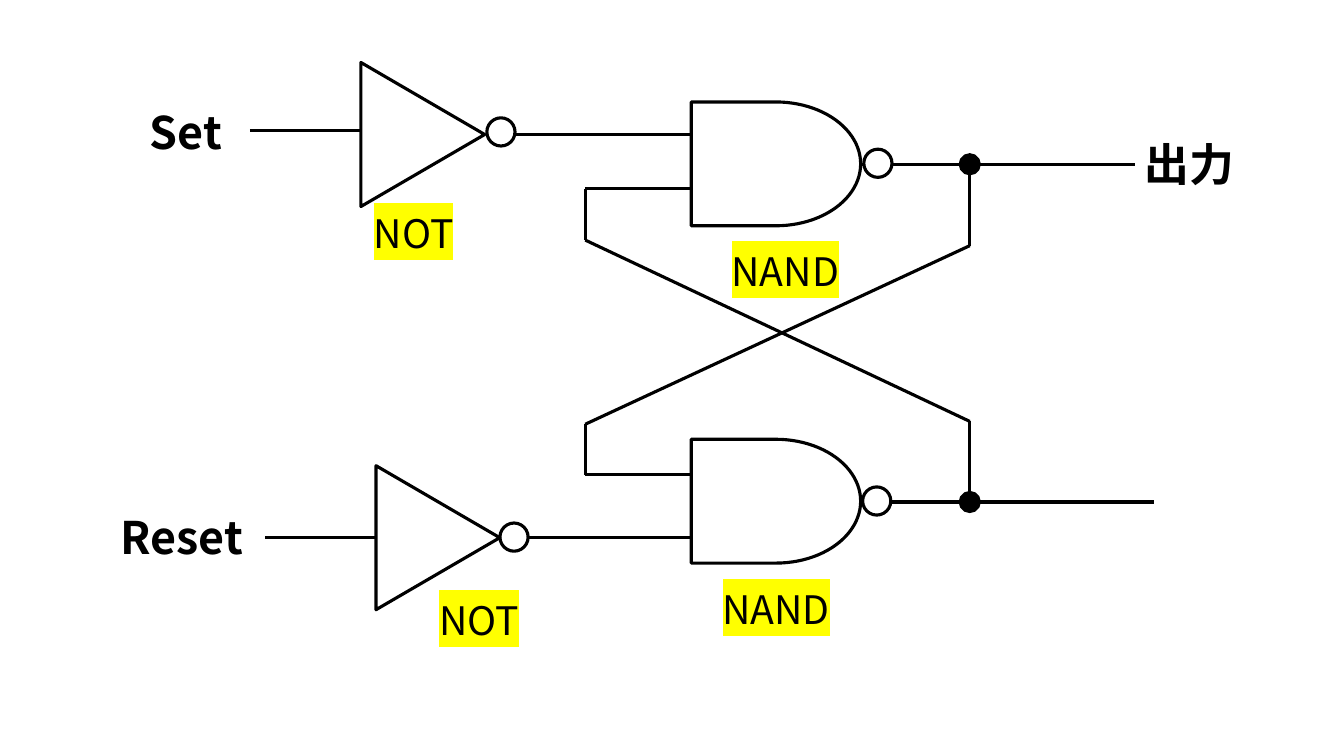
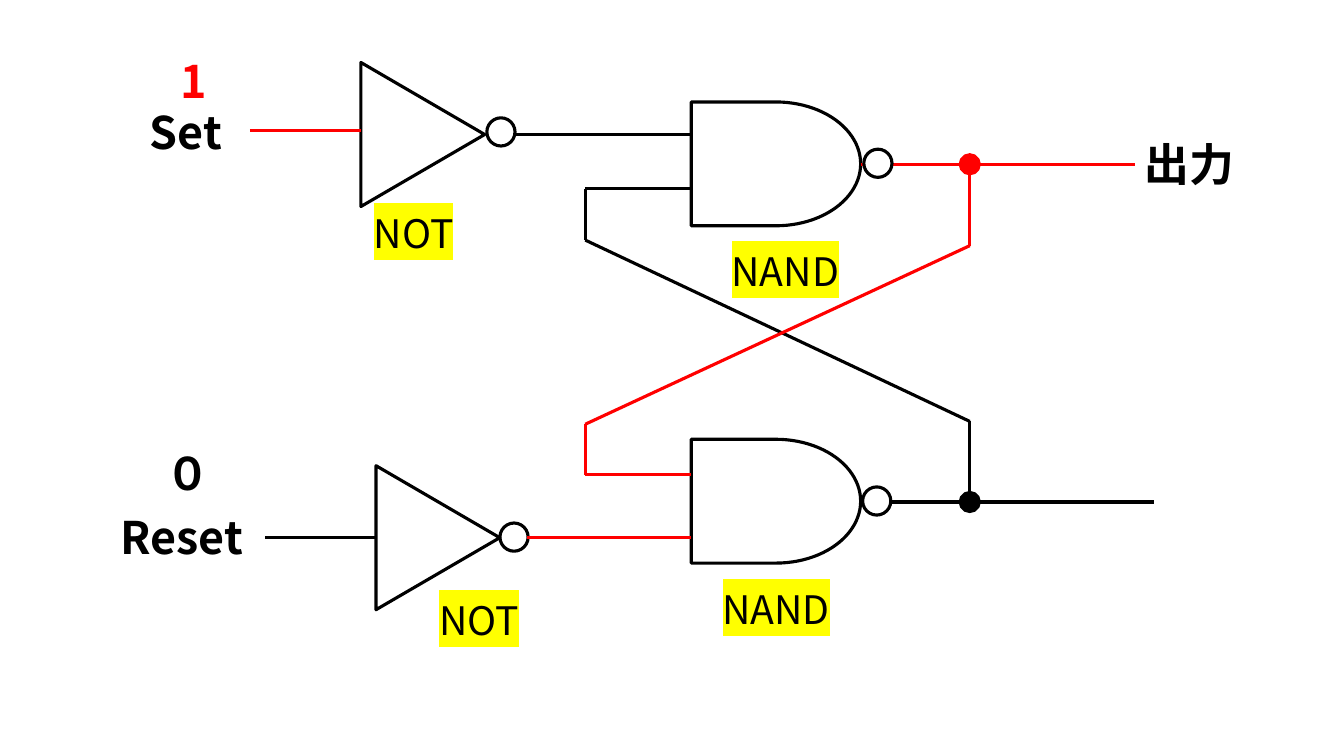
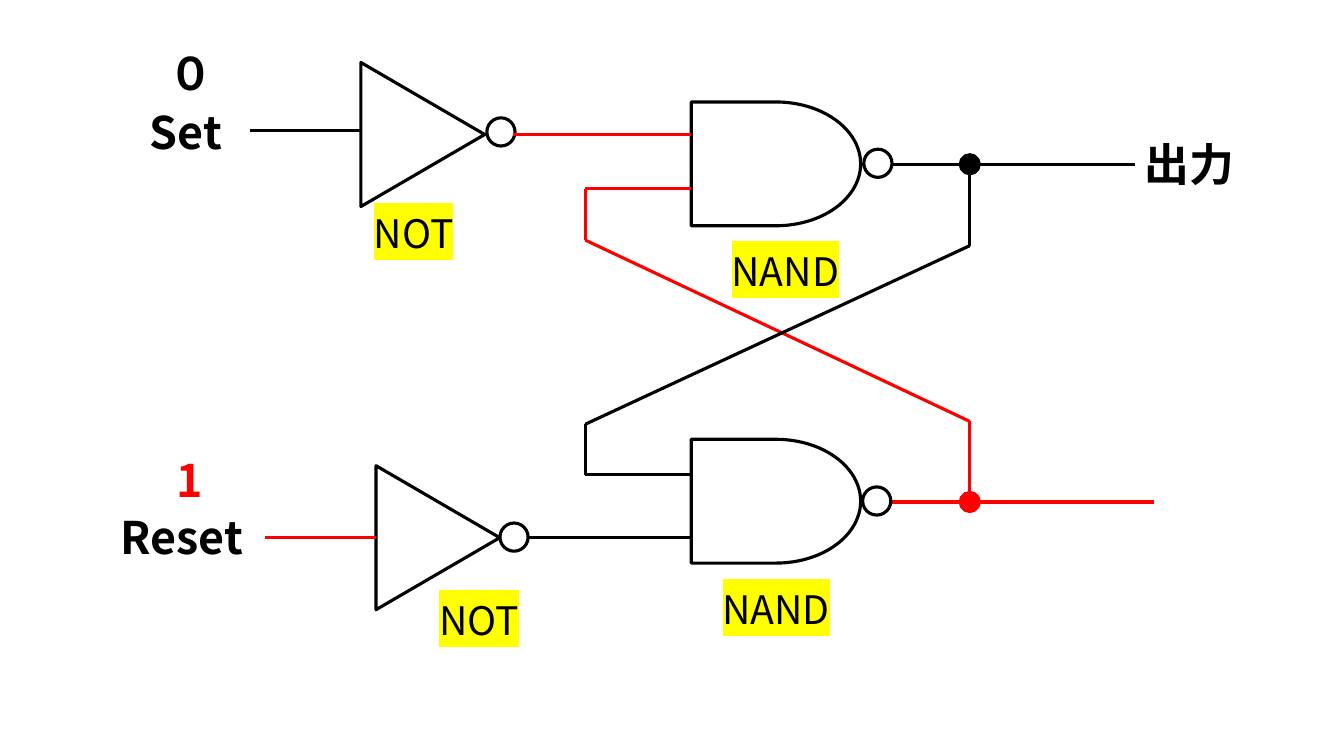
"""Build three slides of a set/reset latch: at rest, set and reset."""
from itertools import pairwise

from lxml import etree
from pptx import Presentation
from pptx.dml.color import RGBColor
from pptx.enum.shapes import MSO_CONNECTOR, MSO_SHAPE
from pptx.enum.text import MSO_AUTO_SIZE
from pptx.oxml.ns import qn
from pptx.util import Cm, Pt

STRAIGHT = MSO_CONNECTOR.STRAIGHT
DELAY = MSO_SHAPE.FLOWCHART_DELAY
TRIANGLE = MSO_SHAPE.ISOSCELES_TRIANGLE
OVAL = MSO_SHAPE.OVAL
GROW = MSO_AUTO_SIZE.SHAPE_TO_FIT_TEXT

BLACK = RGBColor(0x00, 0x00, 0x00)
RED = RGBColor(0xFF, 0x00, 0x00)
WHITE = RGBColor(0xFF, 0xFF, 0xFF)
YELLOW = RGBColor(0xFF, 0xFF, 0x00)
FONT = "Noto Sans CJK JP"
LINE_WIDTH = Pt(2.25)

GATE_LEFT = 17.42
FEEDBACK_X = 14.75
JUNCTION_X = 24.44
Q_Y, Q_BAR_Y = 4.14, 12.65
BUBBLE, DOT = 0.71, 0.48

NOT_GATES = [(8.84, 1.83), (9.22, 11.99)]
NOT_BUBBLES = [(12.27, 2.97), (12.6, 13.18)]
NAND_TOPS = [2.57, 11.07]
NAND_BUBBLES = [(21.77, 3.76), (21.74, 12.27)]
JUNCTIONS = {"q": Q_Y, "q_bar": Q_BAR_Y}

WIRES = {
    "set": [[(6.3, 3.28), (9.09, 3.28)]],
    "reset": [[(6.68, 13.54), (9.47, 13.54)]],
    "not_set": [[(12.93, 3.38), (GATE_LEFT, 3.38)]],
    "not_reset": [[(13.28, 13.54), (GATE_LEFT, 13.54)]],
    "q_bar": [
        [(21.69, Q_BAR_Y), (29.08, Q_BAR_Y)],
        [(JUNCTION_X, Q_BAR_Y), (JUNCTION_X, 10.62), (FEEDBACK_X, 6.05),
         (FEEDBACK_X, 4.75), (GATE_LEFT, 4.75)],
    ],
    "q": [
        [(21.69, Q_Y), (28.6, Q_Y)],
        [(JUNCTION_X, Q_Y), (JUNCTION_X, 6.19), (FEEDBACK_X, 10.69),
         (FEEDBACK_X, 11.96), (GATE_LEFT, 11.96)],
    ],
}

TERMINALS = [("Set", 3.53, 2.51, 2.57), ("Reset", 2.79, 12.73, 4.45),
             ("出力", 28.6, 3.33, 3.2)]
GATE_NAMES = [("NOT", 9.17, 5.16, 2.79), ("NOT", 10.82, 14.91, 2.79),
              ("NAND", 17.96, 14.63, 4.27), ("NAND", 18.19, 6.1, 4.27)]

STATES = [
    (set(), []),
    ({"set", "not_reset", "q"},
     [("1", 4.29, 1.24, RED), ("０", 3.91, 11.1, BLACK)]),
    ({"reset", "not_set", "q_bar"},
     [("1", 4.19, 11.28, RED), ("０", 3.99, 1.02, BLACK)]),
]


def add_text(s, text, left, top, width, size=32, bold=True, color=BLACK, highlight=None):
    """Add a one-line text box that grows to fit its text."""
    tf = s.shapes.add_textbox(Cm(left), Cm(top), Cm(width), Cm(1.63)).text_frame
    tf.word_wrap = True
    tf.auto_size = GROW
    r = tf.paragraphs[0].add_run()
    r.text = text
    r.font.size = Pt(size)
    r.font.bold = bold
    r.font.color.rgb = color
    r.font.name = FONT
    latin = r.font._element.find(qn("a:latin"))
    latin.addnext(etree.Element(qn("a:ea"), typeface=FONT))
    if highlight is not None:
        mark = etree.Element(qn("a:highlight"))
        etree.SubElement(mark, qn("a:srgbClr"), val=str(highlight))
        latin.addprevious(mark)


def add_outline(s, kind, left, top, width, height, fill=None, line=BLACK):
    """Add an outlined preset shape, hollow unless a fill is given."""
    sp = s.shapes.add_shape(kind, Cm(left), Cm(top), Cm(width), Cm(height))
    sp.shadow.inherit = False
    if fill is None:
        sp.fill.background()
    else:
        sp.fill.solid()
        sp.fill.fore_color.rgb = fill
    sp.line.color.rgb = line
    sp.line.width = LINE_WIDTH
    return sp


def add_wire(s, points, color):
    """Join successive points with straight connectors."""
    for start, end in pairwise(points):
        cxn = s.shapes.add_connector(STRAIGHT, *map(Cm, start + end))
        cxn.line.color.rgb = color
        cxn.line.width = LINE_WIDTH
        etree.SubElement(cxn._element.spPr, qn("a:effectLst"))


def add_latch(s, high):
    """Draw the latch circuit with the high signals in red."""
    for top in NAND_TOPS:
        add_outline(s, DELAY, GATE_LEFT, top, 4.27, 3.12)
    for left, top in NOT_GATES:
        add_outline(s, TRIANGLE, left, top, 3.63, 3.12).rotation = 90
    for left, top in NOT_BUBBLES:
        add_outline(s, OVAL, left, top, BUBBLE, BUBBLE)
    for signal, paths in WIRES.items():
        for points in paths:
            add_wire(s, points, RED if signal in high else BLACK)
    for signal, y in JUNCTIONS.items():
        color = RED if signal in high else BLACK
        add_outline(s, OVAL, JUNCTION_X - DOT / 2, y - DOT / 2, DOT, DOT, color, color)
    for left, top in NAND_BUBBLES:
        add_outline(s, OVAL, left, top, BUBBLE, BUBBLE, WHITE)
    for text, left, top, width in TERMINALS:
        add_text(s, text, left, top, width)
    for text, left, top, width in GATE_NAMES:
        add_text(s, text, left, top, width, size=28, bold=False, highlight=YELLOW)


def main():
    """Build one slide per latch state and save the deck."""
    prs = Presentation()
    prs.slide_width, prs.slide_height = Cm(33.87), Cm(19.05)
    for high, inputs in STATES:
        s = prs.slides.add_slide(prs.slide_layouts[6])
        add_latch(s, high)
        for text, left, top, color in inputs:
            add_text(s, text, left, top, 2.57, color=color)
    prs.save("out.pptx")


if __name__ == "__main__":
    main()
